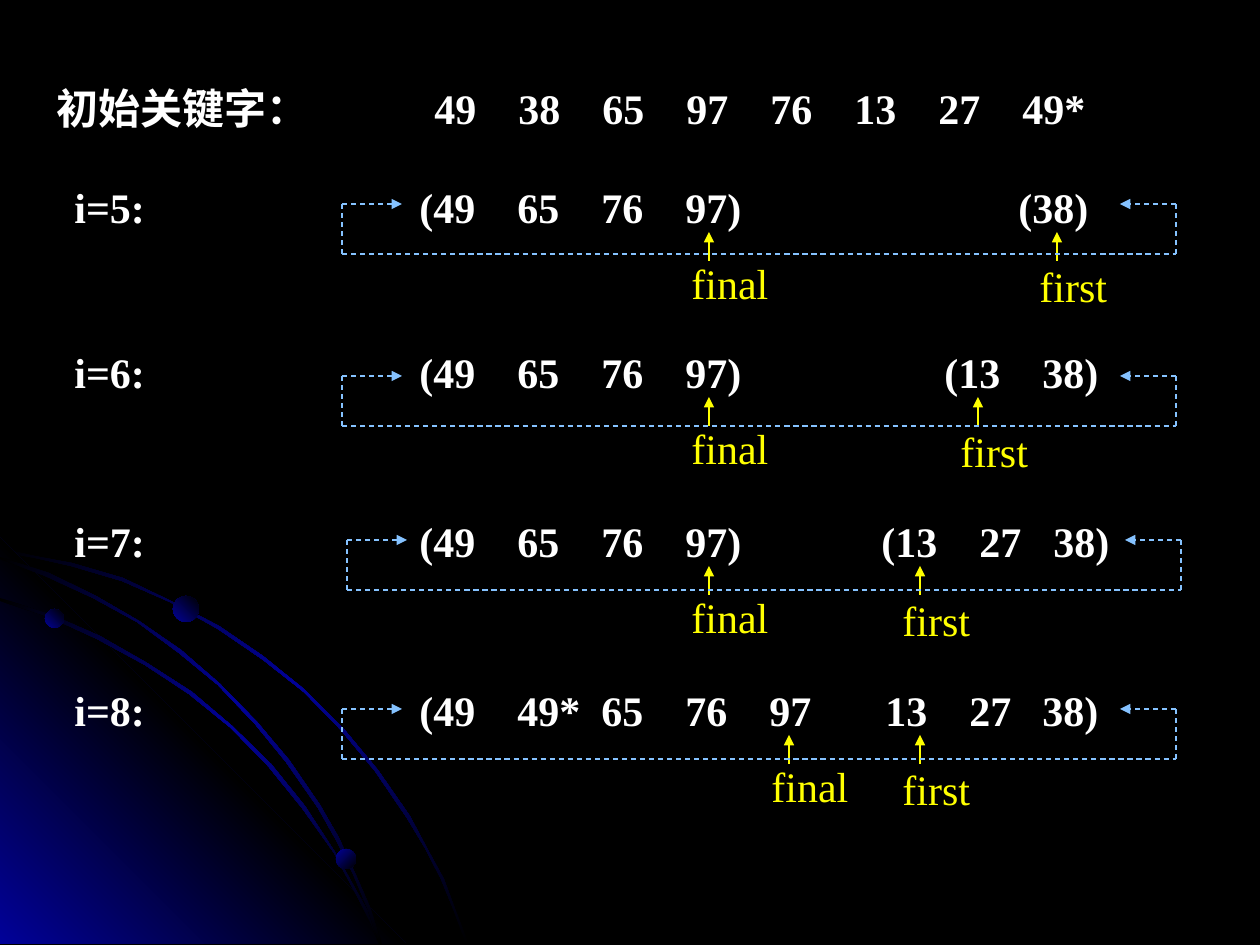
from dataclasses import dataclass
from lxml.etree import SubElement
from pptx import Presentation
from pptx.dml.color import RGBColor
from pptx.enum.dml import MSO_LINE
from pptx.enum.shapes import MSO_CONNECTOR, MSO_SHAPE
from pptx.oxml.ns import qn
from pptx.util import Emu, Pt


@dataclass(frozen=True)
class Theme:
    background: str = "000000"
    glow: str = "010199"
    text: str = "FFFFFF"
    pointer: str = "FFFF00"
    bracket: str = "85C2FF"
    font: str = "Times New Roman"
    size: int = 24
    line: float = 0.75


THEME = Theme()
SCALE = 914400 / 126
WIDTH, HEIGHT = 1260, 945
ROW_WIDTH, ROW_HEIGHT = 1142, 63
INSET = 13
ROW_LEFT = 62
BRACKET_LEFT, BRACKET_RIGHT, BRACKET_HEIGHT = 342, 1176, 50
LEFT_ARROW, RIGHT_ARROW = 60, 56

HEADER = ("初始关键字：", ["49", "38", "65", "97", "76", "13", "27", "49*"])
HEADER_STOPS = [435 + 84 * i for i in range(8)]
SORTED = [("(49", 420), ("65", 518), ("76", 602), ("97)", 686)]
ROWS = [
    dict(label="i=5:", top=175, cells=SORTED + [("(38)", 1019)],
         final=709, first=1057, bracket=(0, 204)),
    dict(label="i=6:", top=340, cells=SORTED + [("(13", 945), ("38)", 1043)],
         final=709, first=978, bracket=(0, 376)),
    dict(label="i=7:", top=509, cells=SORTED + [("(13", 882), ("27", 980), ("38)", 1054)],
         final=709, first=920, bracket=(5, 540)),
    dict(label="i=8:", top=678,
         cells=[("(49", 420), ("49*", 518), ("65", 602), ("76", 686), ("97", 770),
                ("13", 886), ("27", 970), ("38)", 1043)],
         final=789, first=920, bracket=(0, 709)),
]
POINTERS = [("final", 76, 118, True), ("first", 79, 93, False)]

OUTER_ARC = [
    (72, 563), (35, 556), (0, 548), (0, 552), (35, 558), (71, 566), (122, 581),
    (170, 602), (218, 629), (262, 659), (304, 692), (341, 730), (375, 771),
    (407, 818), (425, 848), (441, 879), (454, 911), (466, 944), (469, 944),
    (456, 911), (444, 879), (427, 848), (410, 816), (378, 770), (343, 728),
    (305, 690), (263, 656), (219, 626), (171, 601), (123, 578),
]
CORNER = [(406, 944), (0, 944), (0, 538)]
INNER_ARC = [
    (359, 900), (370, 922), (379, 944), (382, 944), (373, 920), (360, 897),
    (335, 852), (305, 806), (271, 764), (232, 726), (192, 692), (147, 663),
    (100, 636), (52, 615), (0, 598), (0, 601), (49, 617), (97, 639), (145, 665),
    (189, 694), (231, 728), (268, 766), (302, 808), (334, 853),
]
MIDDLE_ARC = [
    (0, 557), (0, 559), (45, 576), (93, 598), (137, 622), (179, 653), (218, 685),
    (255, 724), (286, 762), (318, 808), (336, 840), (353, 874), (368, 910),
    (379, 944), (382, 944), (370, 907), (355, 873), (339, 838), (320, 805),
    (289, 760), (257, 722), (220, 684), (181, 650), (139, 621), (96, 596), (49, 573),
]
DARK, GLOW = THEME.background, THEME.glow
OUTLINES = [
    (OUTER_ARC, [DARK, GLOW, DARK], 45),
    (CORNER, [GLOW, DARK, GLOW], 315),
    (INNER_ARC, [DARK, GLOW, DARK], 45),
    (MIDDLE_ARC, [DARK, GLOW, DARK], 45),
]
PLANETS = [(45, 609, 19, 315), (336, 849, 20, 45), (173, 596, 26, 315)]


def px(value):
    return Emu(round(value * SCALE))


def color(value):
    return RGBColor.from_string(value)


def paint(shape, colors, angle):
    shape.shadow.inherit = False
    shape.line.fill.background()
    shape.fill.gradient()
    gradient = shape._element.spPr.find(qn("a:gradFill"))
    for child in list(gradient):
        gradient.remove(child)
    stops = SubElement(gradient, qn("a:gsLst"))
    for i, value in enumerate(colors):
        stop = SubElement(stops, qn("a:gs"), pos=str(100000 * i // (len(colors) - 1)))
        SubElement(stop, qn("a:srgbClr"), val=value)
    SubElement(gradient, qn("a:lin"), ang=str(angle * 60000), scaled="0")


def add_text(page, text, left, top, width, tint, bold=False, wrap=True, stops=()):
    box = page.shapes.add_textbox(px(left), px(top), px(width), px(ROW_HEIGHT))
    box.text_frame.word_wrap = wrap
    para = box.text_frame.paragraphs[0]
    para.text = text
    if stops:
        tabs = SubElement(para._p.get_or_add_pPr(), qn("a:tabLst"))
        for stop in stops:
            SubElement(tabs, qn("a:tab"), pos=str(px(stop - left - INSET)), algn="l")
    para.font.name = THEME.font
    para.font.size = Pt(THEME.size)
    para.font.bold = bold
    para.font.color.rgb = color(tint)


def add_line(shapes, start, end, tint, arrow=False, dashed=False):
    line = shapes.add_connector(MSO_CONNECTOR.STRAIGHT, *map(px, start + end))
    line.line.color.rgb = color(tint)
    line.line.width = Pt(THEME.line)
    if dashed:
        line.line.dash_style = MSO_LINE.DASH
    if arrow:
        SubElement(line.line._get_or_add_ln(), qn("a:tailEnd"), type="triangle")
    SubElement(line._element.spPr, qn("a:effectLst"))


def add_bracket(page, shift, top):
    left, right = BRACKET_LEFT + shift, BRACKET_RIGHT + shift
    bottom = top + BRACKET_HEIGHT
    shapes = page.shapes.add_group_shape().shapes
    for start, end, arrow in [
        ((left, top), (left + LEFT_ARROW, top), True),
        ((right, top), (right - RIGHT_ARROW, top), True),
        ((left, top), (left, bottom), False),
        ((left, bottom), (right, bottom), False),
        ((right, top), (right, bottom), False),
    ]:
        add_line(shapes, start, end, THEME.bracket, arrow, dashed=True)


def add_backdrop(page):
    page.background.fill.solid()
    page.background.fill.fore_color.rgb = color(THEME.background)
    for points, colors, angle in OUTLINES:
        builder = page.shapes.build_freeform(*points[0], scale=SCALE)
        builder.add_line_segments(points[1:], close=True)
        paint(builder.convert_to_shape(), colors, angle)
    for left, top, size, angle in PLANETS:
        planet = page.shapes.add_shape(
            MSO_SHAPE.OVAL, px(left), px(top), px(size), px(size))
        paint(planet, [GLOW, DARK], angle)


def add_row(page, row):
    words, stops = zip(*row["cells"])
    top = row["top"]
    add_text(page, "\t".join([row["label"], *words]), ROW_LEFT, top, ROW_WIDTH,
             THEME.text, bold=True, stops=stops)
    for name, drop, width, wrap in POINTERS:
        x = row[name]
        add_text(page, name, x - 30, top + drop, width, THEME.pointer, wrap=wrap)
        add_line(page.shapes, (x, top + 86), (x, top + 57), THEME.pointer, arrow=True)


def main():
    deck = Presentation()
    deck.slide_width, deck.slide_height = px(WIDTH), px(HEIGHT)
    page = deck.slides.add_slide(deck.slide_layouts[6])
    add_backdrop(page)
    title, keys = HEADER
    add_text(page, "\t".join([title, *keys]), 44, 76, ROW_WIDTH,
             THEME.text, bold=True, stops=HEADER_STOPS)
    for row in ROWS:
        add_row(page, row)
    for row in ROWS:
        add_bracket(page, *row["bracket"])
    deck.save("out.pptx")


if __name__ == "__main__":
    main()
